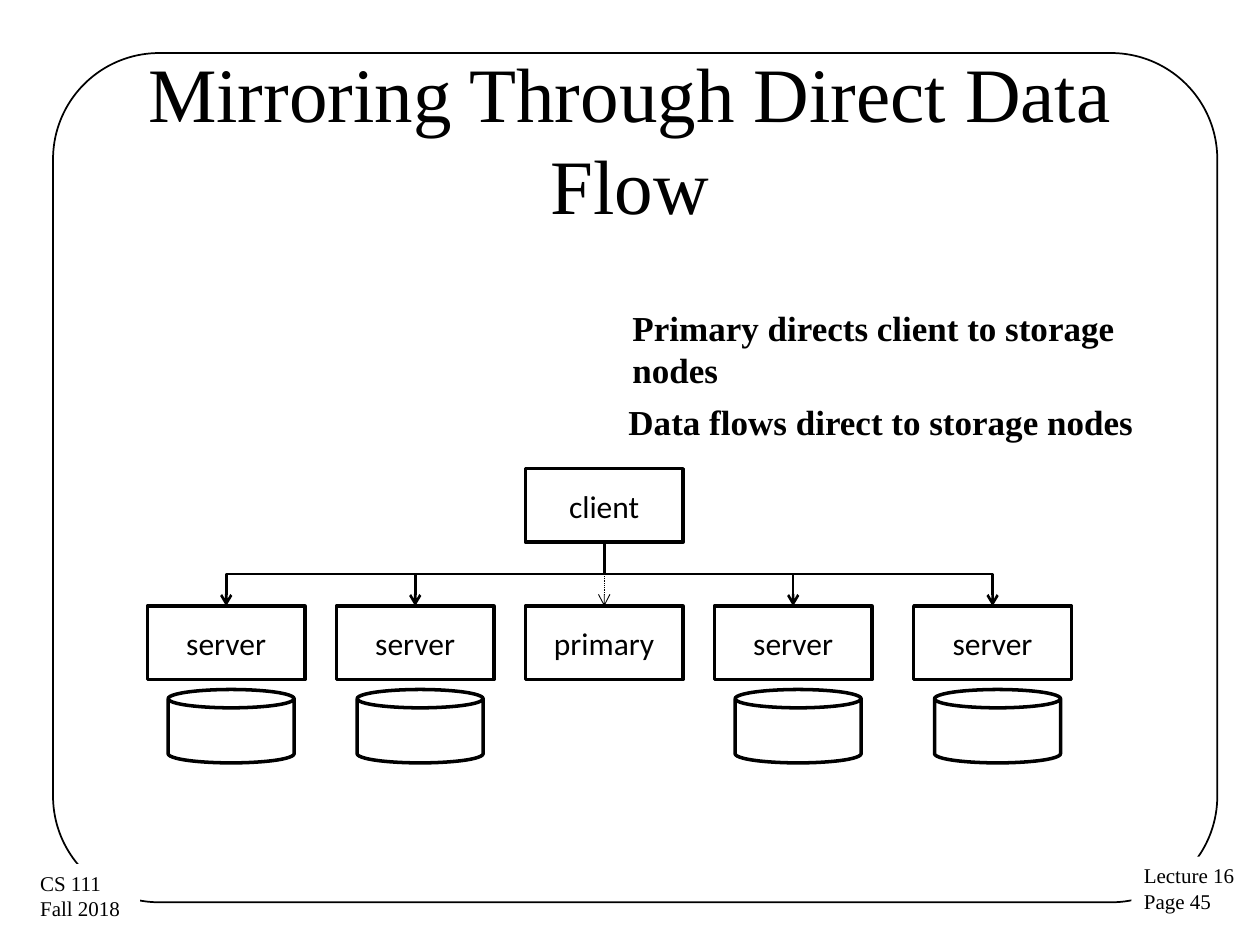
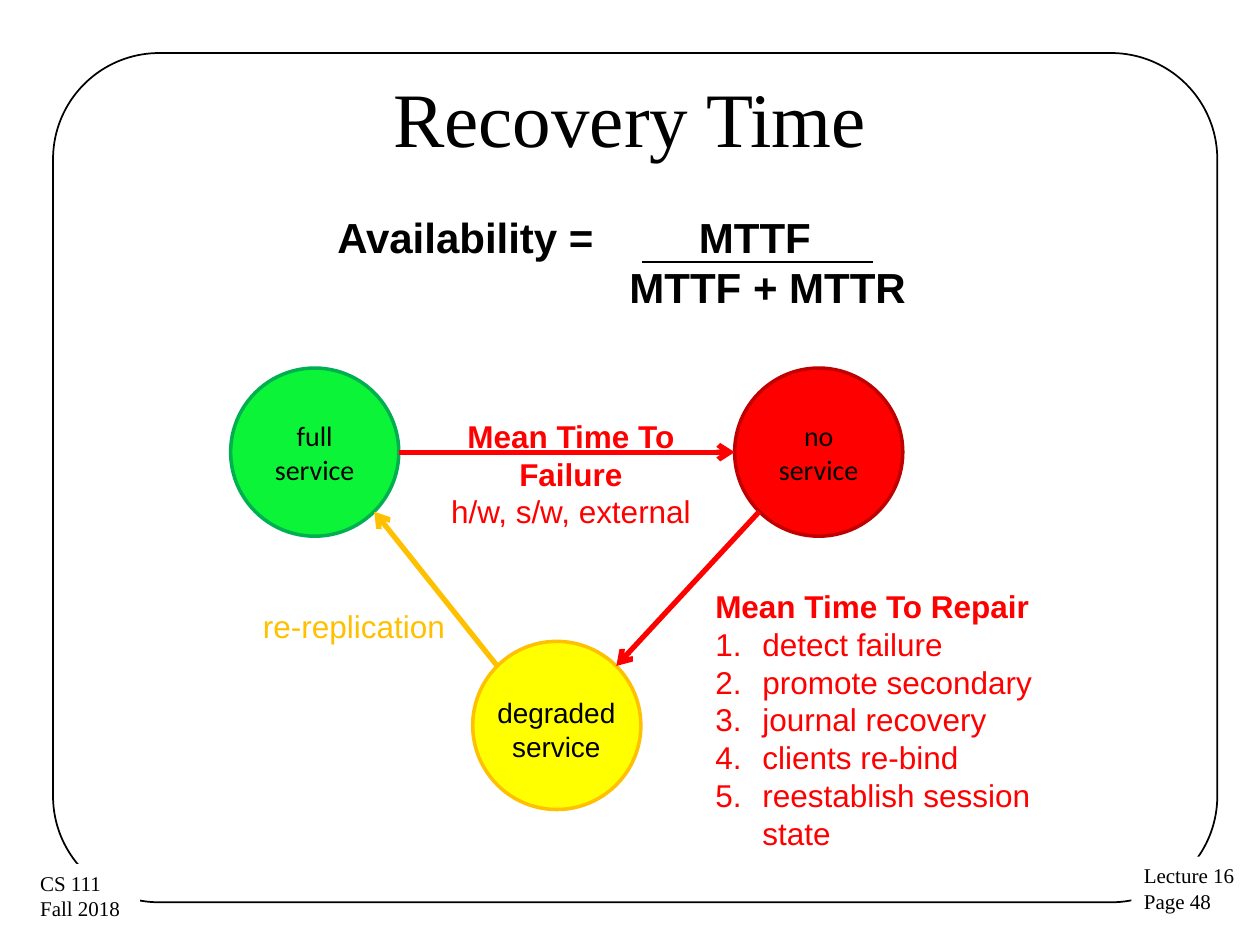
from lxml.etree import SubElement
from pptx import Presentation
from pptx.dml.color import RGBColor
from pptx.enum.dml import MSO_LINE
from pptx.enum.shapes import MSO_CONNECTOR, MSO_SHAPE
from pptx.enum.text import MSO_ANCHOR, MSO_AUTO_SIZE, PP_ALIGN
from pptx.oxml.ns import qn
from pptx.util import Cm, Pt

COLORS = {
    "ink": "000000", "paper": "FFFFFF", "red": "FF0000", "dark_red": "C00000",
    "green": "0CF438", "dark_green": "00B050", "yellow": "FFFF00", "amber": "FFC000",
}
FONTS = {
    "title": {"name": "Times New Roman", "size": Pt(44)},
    "footer": {"name": "Times New Roman", "size": Pt(12)},
    "note": {"name": "Times New Roman", "size": Pt(20), "bold": True},
    "node": {"name": "Calibri", "size": Pt(18)},
    "state": {"name": "Calibri", "size": Pt(16)},
    "state_wide": {"name": "Arial", "size": Pt(16)},
    "label": {"name": "Arial", "size": Pt(18)},
    "label_bold": {"name": "Arial", "size": Pt(18), "bold": True},
    "formula": {"name": "Arial", "size": Pt(24), "bold": True},
}
LEFT, CENTER = PP_ALIGN.LEFT, PP_ALIGN.CENTER
TITLE_X, TITLE_W, TITLE_H = 1.27, 22.86, 3.18


def rgb(name):
    return RGBColor.from_string(COLORS[name])


def write(tf, lines, color="ink", align=LEFT, **frame):
    frame = {"word_wrap": True, "auto_size": MSO_AUTO_SIZE.NONE, **frame}
    for key, value in frame.items():
        setattr(tf, key, value)
    for i, (text, style) in enumerate(lines):
        p = tf.add_paragraph() if i else tf.paragraphs[0]
        p.alignment = align
        r = p.add_run()
        r.text = text
        for key, value in FONTS[style].items():
            setattr(r.font, key, value)
        r.font.color.rgb = rgb(color)


def add_text(s, box, lines, color="ink", align=LEFT, **frame):
    sp = s.shapes.add_textbox(*map(Cm, box))
    write(sp.text_frame, lines, color, align, **frame)
    return sp


def add_box(s, kind, box, line="ink", width=2, fill=None, lines=()):
    sp = s.shapes.add_shape(kind, *map(Cm, box))
    sp.shadow.inherit = False
    if fill:
        sp.fill.solid()
        sp.fill.fore_color.rgb = rgb(fill)
    else:
        sp.fill.background()
    sp.line.color.rgb = rgb(line)
    sp.line.width = Pt(width)
    write(sp.text_frame, lines, align=CENTER, vertical_anchor=MSO_ANCHOR.MIDDLE)
    return sp


def add_line(s, start, end, color="ink", width=1.5, dash=None, arrow=True,
             kind=MSO_CONNECTOR.STRAIGHT):
    c = s.shapes.add_connector(kind, *map(Cm, (*start, *end)))
    c.line.color.rgb = rgb(color)
    c.line.width = Pt(width)
    if dash:
        c.line.dash_style = dash
    spPr = c._element.spPr
    if arrow:
        SubElement(spPr.find(qn("a:ln")), qn("a:tailEnd"), type="arrow")
    SubElement(spPr, qn("a:effectLst"))
    return c


def add_drop(s, start, end):
    (x1, y1), (x2, y2) = start, end
    cx, cy = (x1 + x2) / 2, (y1 + y2) / 2
    dx, dy = abs(x2 - x1) / 2, (y2 - y1) / 2
    c = add_line(s, (cx - dy, cy - dx), (cx + dy, cy + dx), kind=MSO_CONNECTOR.ELBOW)
    xfrm = c._element.spPr.find(qn("a:xfrm"))
    xfrm.set("rot", str((90 if x2 < x1 else 270) * 60000))
    if x2 > x1:
        xfrm.set("flipH", "1")


def add_slide(prs, title, title_y, page):
    s = prs.slides.add_slide(prs.slide_layouts[5])
    frame = add_box(s, MSO_SHAPE.ROUNDED_RECTANGLE, (1.07, 1.07, 23.47, 17.12), width=1)
    frame.adjustments[0] = 0.125
    footers = [
        ((22.81, 17.27, 2.36, 1.3), ("Lecture 16", f"Page {page}")),
        ((0.56, 17.42, 2.26, 1.3), ("CS 111", "Fall 2018")),
    ]
    for box, texts in footers:
        sp = add_text(s, box, [(t, "footer") for t in texts], word_wrap=False)
        sp.fill.solid()
        sp.fill.fore_color.rgb = rgb("paper")
    sp = s.shapes.title
    place = {"left": TITLE_X, "top": title_y, "width": TITLE_W, "height": TITLE_H}
    for key, value in place.items():
        setattr(sp, key, Cm(value))
    write(sp.text_frame, [(title, "title")], align=CENTER,
          vertical_anchor=MSO_ANCHOR.MIDDLE)
    return s


def draw_notes(s, x, y, w):
    add_text(s, (x + 0.08, y, w, 1.96), [("Primary directs client to storage nodes", "note")])
    add_text(s, (x, y + 1.9, w, 1.12), [("Data flows direct to storage nodes", "note")])


def draw_cluster(s, x, y):
    w, h, pitch, row, disk_row = 3.18, 1.48, 3.81, 2.77, 4.45
    columns = [x + i * pitch for i in range(4)] + [x + 4 * pitch + 0.21]
    primary = columns[2]
    start = (primary + w / 2, y + h)
    add_box(s, MSO_SHAPE.RECTANGLE, (primary, y, w, h), lines=[("client", "node")])
    for left in columns:
        end = (left + w / 2, y + row)
        name = "primary" if left == primary else "server"
        add_box(s, MSO_SHAPE.RECTANGLE, (left, y + row, w, h), lines=[(name, "node")])
        if left == primary:
            add_line(s, start, end, width=0.5, dash=MSO_LINE.ROUND_DOT)
        else:
            add_box(s, MSO_SHAPE.CAN, (left + 0.42, y + disk_row, 2.54, h))
            add_drop(s, start, end)


def draw_formula(s, x, y, w, h):
    sp = add_text(s, (x, y, w, h),
                  [("Availability =\tMTTF", "formula"), ("MTTF + MTTR", "formula")])
    top, bottom = (p._p.get_or_add_pPr() for p in sp.text_frame.paragraphs)
    tabs = SubElement(top, qn("a:tabLst"))
    SubElement(tabs, qn("a:tab"), pos=str(Cm(7.29)), algn="l")
    bottom.set("marL", str(Cm(5.89)))
    add_line(s, (x + 6.4, y + 1.14), (x + 11.05, y + 1.14), arrow=False)


def draw_states(s, x, y):
    d = 3.39
    near, far = 0.146 * d, 0.854 * d
    none_x, low_x, low_y = x + 10.16, x + 4.88, y + 5.51
    states = [
        (x, y, "green", "dark_green", [("full service", "state")]),
        (none_x, y, "red", "dark_red", [("no service", "state")]),
        (low_x, low_y, "yellow", "amber", []),
    ]
    for left, top, fill, line, lines in states:
        add_box(s, MSO_SHAPE.OVAL, (left, top, d, d), line, fill=fill, lines=lines)
    add_text(s, (low_x + 0.2, low_y + 0.97, 2.97, 1.63),
             [("degraded", "state_wide"), ("service", "state_wide")], align=CENTER)
    arrows = [
        ((x + d, y + d / 2), (none_x, y + d / 2), "red"),
        ((none_x + near, y + far), (low_x + far, low_y + near), "red"),
        ((low_x + near, low_y + near), (x + far, y + far), "amber"),
    ]
    for start, end, color in arrows:
        add_line(s, start, end, color, 3)
    add_text(s, (x + 3.76, y + 0.86, 6.2, 1.8),
             [("Mean Time To Failure", "label_bold"), ("h/w, s/w, external", "label")],
             "red", CENTER)
    add_text(s, (x + 0.4, y + 4.7, 6.15, 1.02), [("re-replication", "label")], "amber")


def draw_repair(s, x, y, w, h):
    steps = ["detect failure", "promote secondary", "journal recovery",
             "clients re-bind", "reestablish session state"]
    lines = [("Mean Time To Repair", "label_bold")] + [(t, "label") for t in steps]
    sp = add_text(s, (x, y, w, h), lines, "red")
    for i, p in enumerate(sp.text_frame.paragraphs):
        pPr = p._p.get_or_add_pPr()
        pPr.set("marL", str(Cm(0.95)))
        pPr.set("indent", str(Cm(-0.95)))
        if i:
            SubElement(pPr, qn("a:buFont"), typeface="+mj-lt")
            SubElement(pPr, qn("a:buAutoNum"), type="arabicPeriod")


prs = Presentation()
prs.slide_width, prs.slide_height = Cm(25.4), Cm(19.05)

s = add_slide(prs, "Mirroring Through Direct Data Flow", 1.19, 45)
draw_notes(s, 12.42, 6.05, 11)
draw_cluster(s, 2.97, 9.45)

s = add_slide(prs, "Recovery Time", 0.76, 48)
draw_formula(s, 6.55, 4.14, 14.81, 2.31)
draw_states(s, 4.65, 7.42)
draw_repair(s, 14.17, 11.71, 7.85, 6.4)

prs.save("out.pptx")
